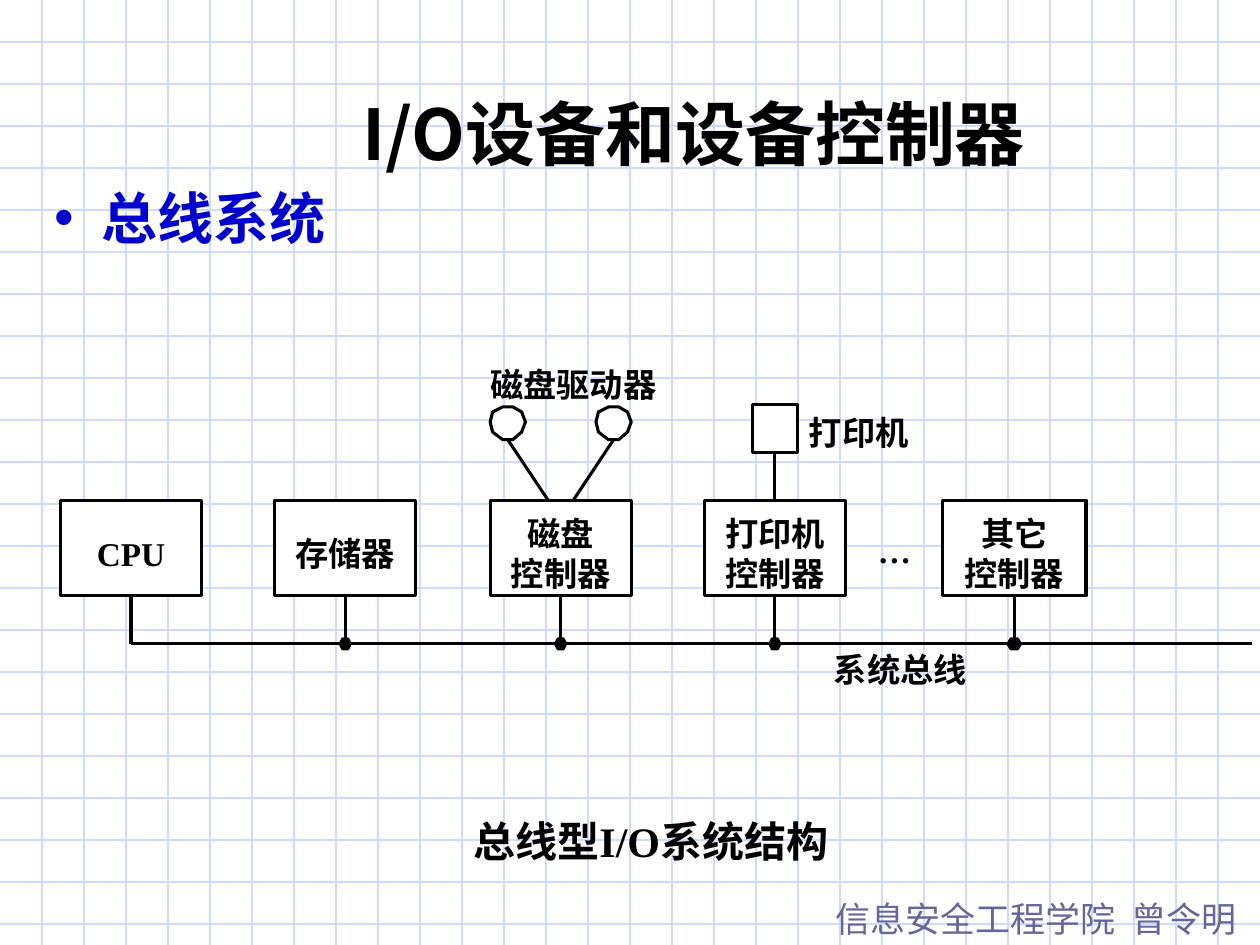
"""Build the bus-type I/O system structure slide."""
from lxml.etree import SubElement
from pptx import Presentation
from pptx.dml.color import RGBColor
from pptx.enum.shapes import MSO_CONNECTOR, MSO_SHAPE
from pptx.enum.text import MSO_ANCHOR, MSO_AUTO_SIZE, PP_ALIGN
from pptx.oxml.ns import qn
from pptx.util import Inches, Pt

COLORS = {"grid": "CFDBFD", "black": "000000", "white": "FFFFFF",
          "blue": "0000CC", "footer": "666699"}
CJK, TIMES = "Noto Sans CJK SC", "Times New Roman"


def write(shape, text, size, font, color="black", bold=True, inset=(0, 0),
          align=PP_ALIGN.CENTER, ea=None, wrap=True):
    tf = shape.text_frame
    tf.text = text
    tf.word_wrap = wrap
    tf.auto_size = MSO_AUTO_SIZE.NONE
    tf.vertical_anchor = MSO_ANCHOR.MIDDLE
    tf.margin_left = tf.margin_right = Inches(inset[0])
    tf.margin_top = tf.margin_bottom = Inches(inset[1])
    for p in tf.paragraphs:
        p.alignment = align
        p.space_before = Pt(0)
        for r in p.runs:
            r.font.size = Pt(size)
            r.font.bold = bold
            r.font.color.rgb = RGBColor.from_string(COLORS[color])
            r.font.name = font
            SubElement(r._r.rPr, qn("a:ea"), typeface=ea or font)


def line(x1, y1, x2, y2, color="black", width=1.75):
    c = s.shapes.add_connector(MSO_CONNECTOR.STRAIGHT, Inches(x1), Inches(y1),
                               Inches(x2), Inches(y2))
    c.line.color.rgb = RGBColor.from_string(COLORS[color])
    c.line.width = Pt(width)
    SubElement(c._element.spPr, qn("a:effectLst"))


prs = Presentation()
prs.slide_width, prs.slide_height = Inches(10), Inches(7.5)
s = prs.slides.add_slide(prs.slide_layouts[1])
title, body = s.placeholders

for i in range(1, 23):
    line(0, i / 3, 10, i / 3, "grid", 0.75)
for i in range(1, 30):
    line(i / 3, 0, i / 3, 7.5, "grid", 0.75)

footer = s.shapes.add_textbox(Inches(6.53), Inches(7.07), Inches(3.47), Inches(0.44))
write(footer, "信息安全工程学院  曾令明", 20, "Noto Sans CJK JP", "footer", False,
      (0.1, 0.05), PP_ALIGN.LEFT)

body.left, body.top, body.width, body.height = (
    Inches(0.33), Inches(1.42), Inches(9.25), Inches(0.6))
pPr = body.text_frame.paragraphs[0]._p.get_or_add_pPr()
pPr.set("marL", str(Inches(0.75)))
pPr.set("indent", str(Inches(-0.75)))
SubElement(SubElement(pPr, qn("a:buClr")), qn("a:srgbClr"), val=COLORS["blue"])
SubElement(pPr, qn("a:buFont"), typeface="Wingdings")
SubElement(pPr, qn("a:buChar"), char="➢")
write(body, "总线系统", 32, "Karla", "blue", True, (0.1, 0.05), PP_ALIGN.JUSTIFY, CJK)

title.left, title.top, title.width, title.height = (
    Inches(1.42), Inches(0.67), Inches(8.17), Inches(0.77))
write(title, "I/O设备和设备控制器", 40, "Noto Sans CJK JP", inset=(0.1, 0.05))
for placeholder in (body, title):
    s.shapes._spTree.append(placeholder._element)

line(1.04, 5.11, 9.94, 5.11)
outlined = []
units = [(0.48, 1.12, "CPU", TIMES), (2.18, 1.12, "存储器", CJK),
         (3.89, 1.12, "磁盘\n控制器", CJK), (5.59, 1.12, "打印机\n控制器", CJK),
         (7.48, 1.14, "其它\n控制器", CJK)]
for x, w, text, font in units:
    line(x + w / 2, 4.73, x + w / 2, 5.11)
    box = s.shapes.add_shape(MSO_SHAPE.RECTANGLE, Inches(x), Inches(3.97),
                             Inches(w), Inches(0.76))
    write(box, text, 19, font)
    box.text_frame.margin_top = Inches(0.08)
    for p in box.text_frame.paragraphs:
        p.line_spacing = Pt(23)
    outlined.append((box, "white"))

line(4.03, 3.49, 4.35, 3.97)
line(4.87, 3.49, 4.55, 3.97)
line(6.15, 3.59, 6.15, 3.97)
printer = s.shapes.add_shape(MSO_SHAPE.RECTANGLE, Inches(5.97), Inches(3.21),
                             Inches(0.36), Inches(0.38))
outlined.append((printer, "white"))

drive = [(-0.14, 0), (-0.12, -0.08), (-0.04, -0.12), (0.04, -0.12), (0.11, -0.08),
         (0.14, 0), (0.11, 0.08), (0.04, 0.14), (-0.04, 0.14), (-0.12, 0.08)]
dot = [(-0.04, 0), (-0.02, -0.04), (0.02, -0.04), (0.04, 0), (0.02, 0.04), (-0.02, 0.04)]
wide_dot = [(1.25 * dx, dy) for dx, dy in dot]
polygons = [(4.03, 3.35, drive, "white"), (4.87, 3.35, drive, "white"),
            (2.74, 5.11, dot, "black"), (4.45, 5.11, dot, "black"),
            (6.15, 5.11, dot, "black"), (8.05, 5.11, wide_dot, "black")]
for x, y, offsets, fill in polygons:
    points = [(Inches(x + dx), Inches(y + dy)) for dx, dy in offsets]
    builder = s.shapes.build_freeform(*points[0])
    builder.add_line_segments(points[1:], close=True)
    outlined.append((builder.convert_to_shape(), fill))

for shape, fill in outlined:
    shape.shadow.inherit = False
    shape.fill.solid()
    shape.fill.fore_color.rgb = RGBColor.from_string(COLORS[fill])
    shape.line.color.rgb = RGBColor.from_string(COLORS["black"])
    shape.line.width = Pt(1.75)

labels = [(3.89, 2.89, 1.32, "磁盘驱动器", CJK), (6.42, 3.27, 0.79, "打印机", CJK),
          (6.97, 4.21, 0.26, "…", TIMES), (6.62, 5.15, 1.05, "系统总线", CJK)]
for x, y, w, text, font in labels:
    label = s.shapes.add_textbox(Inches(x), Inches(y), Inches(w), Inches(0.32))
    write(label, text, 19, font, wrap=False)

caption = s.shapes.add_textbox(Inches(3.54), Inches(6.42), Inches(3.25), Inches(0.5))
write(caption, "总线型I/O系统结构", 24, TIMES, inset=(0.1, 0.05), ea=CJK, wrap=False)

prs.save("out.pptx")
